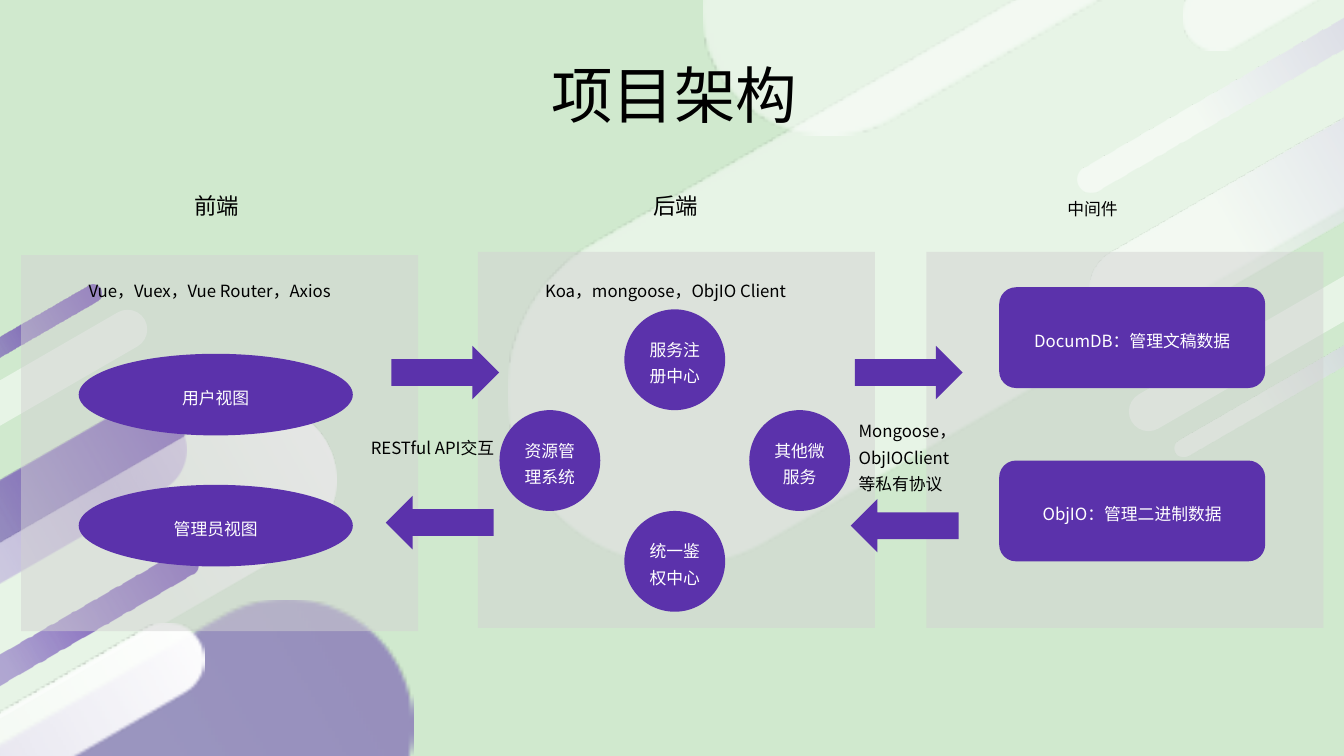
import pptx
import pptx.util
import pptx.dml.color
import pptx.enum.shapes
import pptx.enum.text
import pptx.oxml.ns
from lxml import etree

Pt = pptx.util.Pt
SHAPE = pptx.enum.shapes.MSO_SHAPE
ALIGN = pptx.enum.text.PP_ALIGN
ANCHOR = pptx.enum.text.MSO_ANCHOR
qn = pptx.oxml.ns.qn
FONT = "Noto Sans CJK SC"
COLORS = {
    "background": "D0E9CE",
    "purple": "5B32AB",
    "violet": "5F34B2",
    "panel": "D2D2D2",
    "white": "FFFFFF",
    "black": "000000",
}


def style_text(sp, text, size, color):
    tf = sp.text_frame
    tf.text = text
    p = tf.paragraphs[0]
    p.line_spacing = 1.3
    r = p.runs[0]
    r.font.size = Pt(size)
    r.font.name = FONT
    r.font.color.rgb = pptx.dml.color.RGBColor.from_string(COLORS[color])
    etree.SubElement(r.font._element, qn("a:ea")).set("typeface", FONT)
    return p


def add_filled(kind, x, y, w, h, color="purple", alpha=100):
    """Add a borderless shape with a solid fill; alpha is opacity in percent."""
    sp = s.shapes.add_shape(kind, Pt(x), Pt(y), Pt(w), Pt(h))
    sp.shadow.inherit = False
    sp.line.fill.background()
    sp.fill.solid()
    sp.fill.fore_color.rgb = pptx.dml.color.RGBColor.from_string(COLORS[color])
    if alpha < 100:
        clr = sp._element.spPr.find(qn("a:solidFill")).find(qn("a:srgbClr"))
        etree.SubElement(clr, qn("a:alpha")).set("val", str(alpha * 1000))
    return sp


prs = pptx.Presentation()
prs.slide_width, prs.slide_height = Pt(960), Pt(540)
s = prs.slides.add_slide(prs.slide_layouts[6])
s.background.fill.solid()
s.background.fill.fore_color.rgb = pptx.dml.color.RGBColor.from_string(COLORS["background"])

# Diagonal background stripes; gradient stops are (position, colour, opacity)
fade_tail = [(85, "white", 50), (100, "white", 50)]
GRADIENTS = {
    "haze": [(0, "purple", 50), (23, "violet", 40)] + fade_tail,
    "purple": [(0, "purple", 100), (23, "violet", 40)] + fade_tail,
    "white": [(0, "white", 100), (21, "white", 50)] + fade_tail,
    "plain": None,
}
STRIPES = {
    150: [
        (-2084.4, 1018.1, 2538, 180.7, "haze"),
        (-263.5, 312.5, 393.1, 28.1, "plain"),
        (-707.8, 497.5, 896.4, 64.1, "purple"),
        (-564.5, 475.2, 854.6, 108.7, "white"),
        (-1679, 920.2, 1951.9, 53.3, "white"),
        (-378, 320.4, 481.7, 13, "purple"),
        (-512.6, 562.3, 699.8, 19.4, "purple"),
    ],
    330: [
        (249.8, -264.2, 1935.4, 245.5, "white"),
        (344.9, -673.2, 2538, 180.7, "haze"),
        (781.9, 188.6, 393.1, 28.1, "plain"),
        (722.2, -32.4, 896.4, 64.1, "purple"),
        (724.3, -466.6, 1859, 50.4, "purple"),
        (807.8, 195.8, 481.7, 13, "purple"),
        (724.3, -51.8, 699.8, 19.4, "purple"),
    ],
}
for rotation, stripes in STRIPES.items():
    for x, y, w, h, gradient in stripes:
        sp = add_filled(SHAPE.ROUNDED_RECTANGLE, x, y, w, h, "white", 50)
        sp.adjustments[0] = 0.5
        sp.rotation = rotation
        if GRADIENTS[gradient]:
            sp.fill.gradient()
            sp.fill.gradient_angle = 0 if rotation == 150 else 180
            stops = sp._element.spPr.find(qn("a:gradFill")).find(qn("a:gsLst"))
            for gs in list(stops):
                stops.remove(gs)
            for position, color, alpha in GRADIENTS[gradient]:
                gs = etree.SubElement(stops, qn("a:gs"), pos=str(position * 1000))
                clr = etree.SubElement(gs, qn("a:srgbClr"), val=COLORS[color])
                etree.SubElement(clr, qn("a:alpha"), val=str(alpha * 1000))

# Three tier panels
for x, y in [(15.1, 182.2), (341.3, 180), (661.7, 180)]:
    add_filled(SHAPE.RECTANGLE, x, y, 283.7, 268.6, "panel", 50)

# Components of each tier
VIEW, SERVICE, STORE = (195.8, 58.3), (72, 72), (190, 72)
components = [
    (SHAPE.OVAL, 56.2, 252.7, VIEW, "用户视图"),
    (SHAPE.OVAL, 56.2, 346.3, VIEW, "管理员视图"),
    (SHAPE.OVAL, 446, 221, SERVICE, "服务注册中心"),
    (SHAPE.OVAL, 356.8, 293, SERVICE, "资源管理系统"),
    (SHAPE.OVAL, 446, 365, SERVICE, "统一鉴权中心"),
    (SHAPE.OVAL, 535.2, 293, SERVICE, "其他微服务"),
    (SHAPE.ROUNDED_RECTANGLE, 713.7, 205.2, STORE, "DocumDB：管理文稿数据"),
    (SHAPE.ROUNDED_RECTANGLE, 713.7, 329, STORE, "ObjIO：管理二进制数据"),
]
for kind, x, y, (w, h), text in components:
    sp = add_filled(kind, x, y, w, h)
    sp.text_frame.word_wrap = True
    sp.text_frame.vertical_anchor = ANCHOR.MIDDLE
    style_text(sp, text, 12, "white").alignment = ALIGN.CENTER

# Requests and responses between tiers
for kind, x, y in [
    (SHAPE.RIGHT_ARROW, 279.5, 247),
    (SHAPE.LEFT_ARROW, 275.6, 354.2),
    (SHAPE.RIGHT_ARROW, 610.6, 247),
    (SHAPE.LEFT_ARROW, 607.7, 356.4),
]:
    add_filled(kind, x, y, 77, 38.2)

# Title, tier headings and notes: x, y, w, h, size, wrap, text
labels = [
    (386.6, 21.6, 192.2, 69.8, 44, False, "项目架构"),
    (131.8, 128.2, 129.6, 30.2, 16, True, "前端"),
    (459.4, 128.2, 46.8, 30.2, 16, False, "后端"),
    (755.3, 133.9, 51.1, 24.5, 12, False, "中间件"),
    (56.2, 193, 236.2, 24.5, 12, True, "Vue，Vuex，Vue Router，Axios"),
    (382.3, 193, 205.9, 24.5, 12, True, "Koa，mongoose，ObjIO Client"),
    (257.8, 304.6, 105.1, 24.5, 12, False, "RESTful API交互"),
    (606.2, 293, 90, 61.9, 12, True, "Mongoose，ObjIOClient等私有协议"),
]
for x, y, w, h, size, wrap, text in labels:
    sp = s.shapes.add_textbox(Pt(x), Pt(y), Pt(w), Pt(h))
    sp.text_frame.word_wrap = wrap
    sp.text_frame.auto_size = pptx.enum.text.MSO_AUTO_SIZE.SHAPE_TO_FIT_TEXT
    style_text(sp, text, size, "black").space_before = Pt(6)

prs.save("out.pptx")
